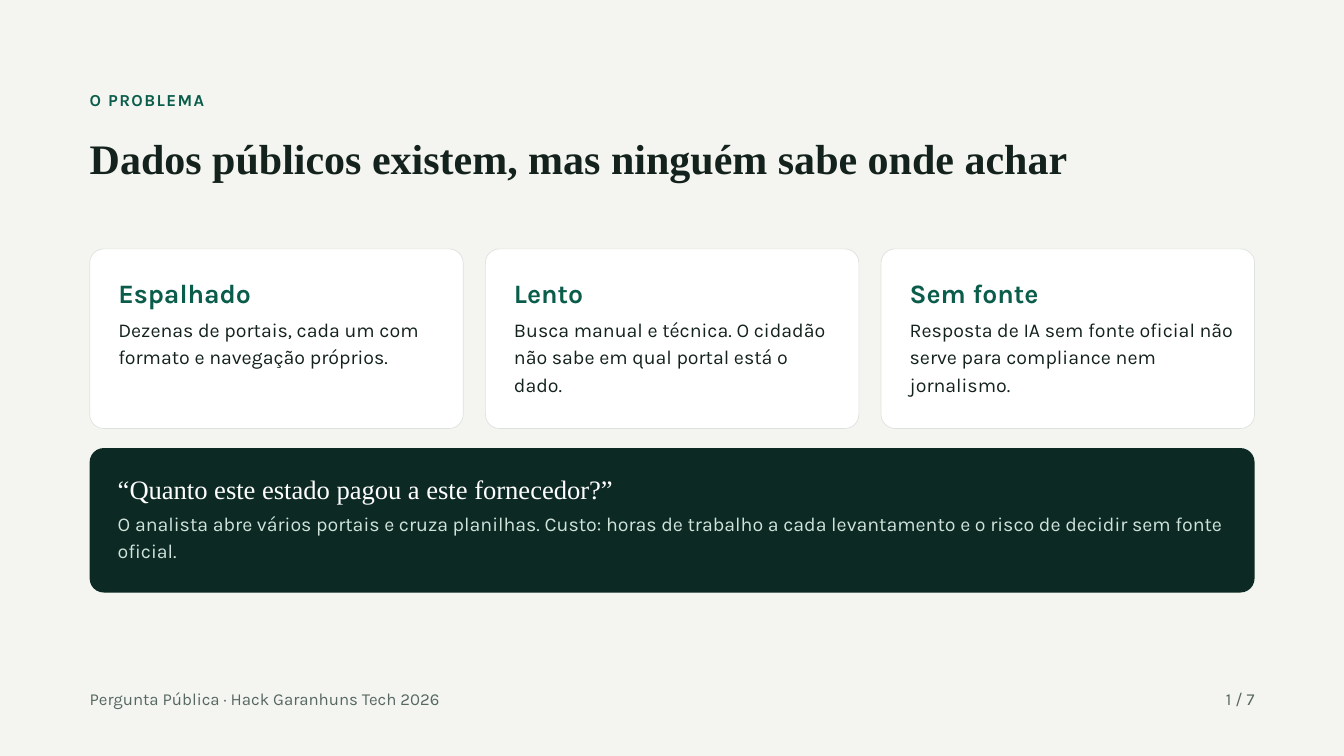
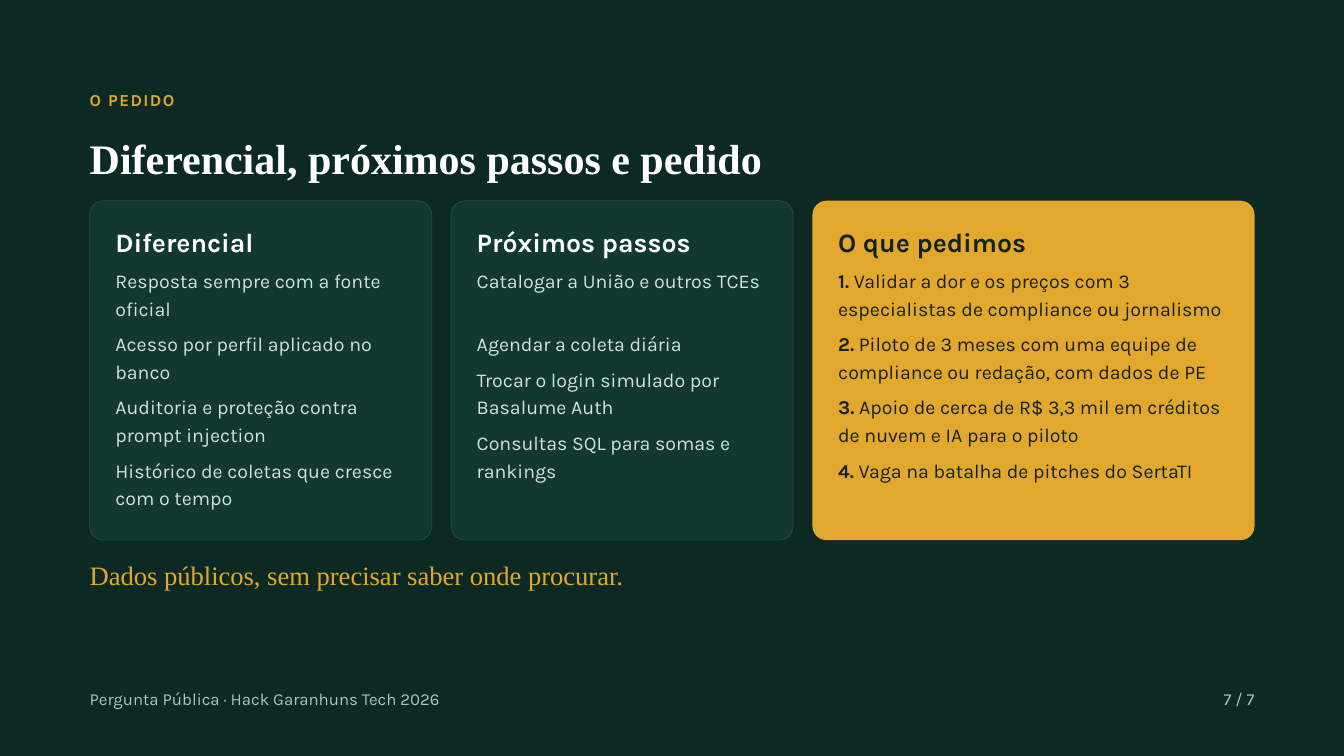
import pptx
import pptx.dml.color
import pptx.enum.shapes
import pptx.enum.text
import pptx.oxml.ns
import pptx.util
from dataclasses import dataclass
from lxml import etree

Cm, Pt = pptx.util.Cm, pptx.util.Pt
RGBColor = pptx.dml.color.RGBColor
ALIGN = pptx.enum.text.PP_ALIGN

# Colours
PAPER = RGBColor(0xF4, 0xF5, 0xF0)
WHITE = RGBColor(0xFF, 0xFF, 0xFF)
INK = RGBColor(0x14, 0x22, 0x1D)
GREEN = RGBColor(0x0B, 0x5D, 0x4B)
DARK = RGBColor(0x0C, 0x2A, 0x23)
PINE = RGBColor(0x12, 0x38, 0x2F)
MOSS = RGBColor(0x1F, 0x52, 0x45)
MINT = RGBColor(0xCF, 0xE3, 0xDB)
GOLD = RGBColor(0xE2, 0xA8, 0x2E)
MIST = RGBColor(0xDC, 0xE3, 0xDE)
GREY = RGBColor(0x56, 0x67, 0x61)
SAGE = RGBColor(0xA9, 0xC7, 0xBD)

# Shared measures, in centimetres
LEFT, WIDTH = 3.39, 44.03
ROUND = 0.53
INSET = 0.7
FOOT = "Pergunta Pública · Hack Garanhuns Tech 2026"


@dataclass
class Style:
    font: str
    size: float
    lead: float
    bold: bool = False
    track: int = 0


LABEL = Style("Karla", 18, 25.2, True, 150)
TITLE = Style("Times New Roman", 45, 51.7, True)
HEAD = Style("Karla", 28.5, 34.2, True)
QUOTE = Style("Times New Roman", 28.5, 34.2)
BODY = Style("Karla", 21, 29.4)
NOTE = Style("Karla", 18, 25.2)


def place(shape, x, y, w, h):
    shape.left, shape.top, shape.width, shape.height = map(Cm, (x, y, w, h))
    frame = shape.text_frame
    frame.word_wrap = True
    frame.auto_size = pptx.enum.text.MSO_AUTO_SIZE.NONE
    frame.vertical_anchor = pptx.enum.text.MSO_ANCHOR.TOP
    frame.margin_left = frame.margin_right = 0
    frame.margin_top = frame.margin_bottom = 0
    return frame


def add_run(para, text, style, color, bold):
    run = para.add_run()
    run.text = text
    font = run.font
    font.name, font.size, font.bold = style.font, Pt(style.size), bold
    font.color.rgb = color
    if style.track:
        run._r.get_or_add_rPr().set("spc", str(style.track))


def write(frame, text, style, color, gap=0, mark="", align=ALIGN.LEFT):
    """Add one paragraph; mark is a bold lead-in."""
    first = frame.paragraphs[0]
    para = frame.add_paragraph() if first.runs else first
    props = para._p.get_or_add_pPr()
    props.set("marL", "0")
    props.set("indent", "0")
    etree.SubElement(props, pptx.oxml.ns.qn("a:buNone"))
    para.alignment = align
    para.line_spacing = Pt(style.lead)
    para.space_before, para.space_after = Pt(gap), Pt(0)
    if mark:
        add_run(para, mark, style, color, True)
    add_run(para, text, style, color, style.bold)


def add_text(slide, box, text, style, color, align=ALIGN.LEFT):
    shape = slide.shapes.add_textbox(0, 0, 0, 0)
    write(place(shape, *box), text, style, color, align=align)


def add_card(slide, box, fill, line=None):
    kind = pptx.enum.shapes.MSO_SHAPE.ROUNDED_RECTANGLE
    card = slide.shapes.add_shape(kind, *map(Cm, box))
    card.adjustments[0] = ROUND / min(box[2:])
    card.shadow.inherit = False
    card.fill.solid()
    card.fill.fore_color.rgb = fill
    if line is None:
        card.line.fill.background()
    else:
        card.line.color.rgb = line
        card.line.width = Pt(0.75)
    # Cards lie behind the placeholders
    slide.shapes._spTree.insert(2, card._element)


def fill_card(slide, slot, box, pad, fill, line=None):
    """Draw a card and return the body text frame laid over it."""
    add_card(slide, box, fill, line)
    x, y, w, h = box
    side, top = pad
    return place(slide.placeholders[slot], x + side, y + top,
                 w - side - INSET, h - 2 * top)


def add_page(deck, back, label, title, page, tint, ink, soft):
    slide = deck.slides.add_slide(deck.slide_layouts[4])
    slide.background.fill.solid()
    slide.background.fill.fore_color.rgb = back
    add_text(slide, (LEFT, 3.28, 45.34, 1.09), label, LABEL, tint)
    write(place(slide.shapes.title, LEFT, 5.1, 45.34, 1.85), title, TITLE, ink)
    add_text(slide, (LEFT, 25.9, 32.7, 1.09), FOOT, NOTE, soft)
    add_text(slide, (LEFT + WIDTH - 5.5, 25.9, 5.5, 1.09), page, NOTE, soft,
             ALIGN.RIGHT)
    return slide


def add_issue(deck):
    slide = add_page(deck, PAPER, "O PROBLEMA",
                     "Dados públicos existem, mas ninguém sabe onde achar",
                     "1 / 7", GREEN, INK, GREY)
    # Three equal cards
    cards = [
        ("Espalhado",
         "Dezenas de portais, cada um com formato e navegação próprios."),
        ("Lento", "Busca manual e técnica. O cidadão não sabe em qual portal "
                  "está o dado."),
        ("Sem fonte", "Resposta de IA sem fonte oficial não serve para "
                      "compliance nem jornalismo."),
    ]
    gap = 0.84
    wide = (WIDTH - 2 * gap) / 3
    for i, (head, text) in enumerate(cards):
        box = (LEFT + i * (wide + gap), 9.41, wide, 6.79)
        frame = fill_card(slide, i + 1, box, (1.08, 1.05), WHITE, MIST)
        write(frame, head, HEAD, GREEN)
        write(frame, text, BODY, INK, 5.4)
    # Quote panel
    frame = fill_card(slide, 4, (LEFT, 16.94, WIDTH, 5.46), (1.06, 0.94), DARK)
    write(frame, "“Quanto este estado pagou a este fornecedor?”", QUOTE, WHITE)
    write(frame, "O analista abre vários portais e cruza planilhas. Custo: "
                 "horas de trabalho a cada levantamento e o risco de decidir "
                 "sem fonte oficial.", BODY, MINT, 3.2)


def add_ask(deck):
    slide = add_page(deck, DARK, "O PEDIDO",
                     "Diferencial, próximos passos e pedido",
                     "7 / 7", GOLD, WHITE, SAGE)
    # Two plain lists and one numbered list
    edge = ["Resposta sempre com a fonte oficial",
            "Acesso por perfil aplicado no banco",
            "Auditoria e proteção contra prompt injection",
            "Histórico de coletas que cresce com o tempo"]
    steps = ["Catalogar a União e outros TCEs",
             "Agendar a coleta diária",
             "Trocar o login simulado por Basalume Auth",
             "Consultas SQL para somas e rankings"]
    asks = ["Validar a dor e os preços com 3 especialistas de compliance ou "
            "jornalismo",
            "Piloto de 3 meses com uma equipe de compliance ou redação, com "
            "dados de PE",
            "Apoio de cerca de R$ 3,3 mil em créditos de nuvem e IA para o "
            "piloto",
            "Vaga na batalha de pitches do SertaTI"]
    cards = [("Diferencial", edge, 12.93, PINE, MOSS, WHITE, MINT),
             ("Próximos passos", steps, 12.93, PINE, MOSS, WHITE, MINT),
             ("O que pedimos", asks, 16.71, GOLD, None, INK, INK)]
    x, gap = LEFT, 0.73
    for slot, (head, items, wide, fill, line, ink, tone) in enumerate(cards, 1):
        frame = fill_card(slide, slot, (x, 7.59, wide, 12.83), (0.97, 0.94),
                          fill, line)
        write(frame, head, HEAD, ink)
        for n, item in enumerate(items, 1):
            space = 8.3 if n == 1 else 8.8
            # The first step keeps the height of two lines
            if items is steps and n == 2:
                space += BODY.lead
            if items is asks:
                write(frame, " " + item, BODY, tone, space, f"{n}.")
            else:
                write(frame, item, BODY, tone, space)
        x += wide + gap
    # Closing line
    frame = place(slide.placeholders[4], LEFT, 21.13, 45.34, 1.35)
    write(frame, "Dados públicos, sem precisar saber onde procurar.", QUOTE,
          GOLD)


def main():
    deck = pptx.Presentation()
    deck.slide_width, deck.slide_height = Cm(50.8), Cm(28.58)
    add_issue(deck)
    add_ask(deck)
    deck.save("out.pptx")


if __name__ == "__main__":
    main()
